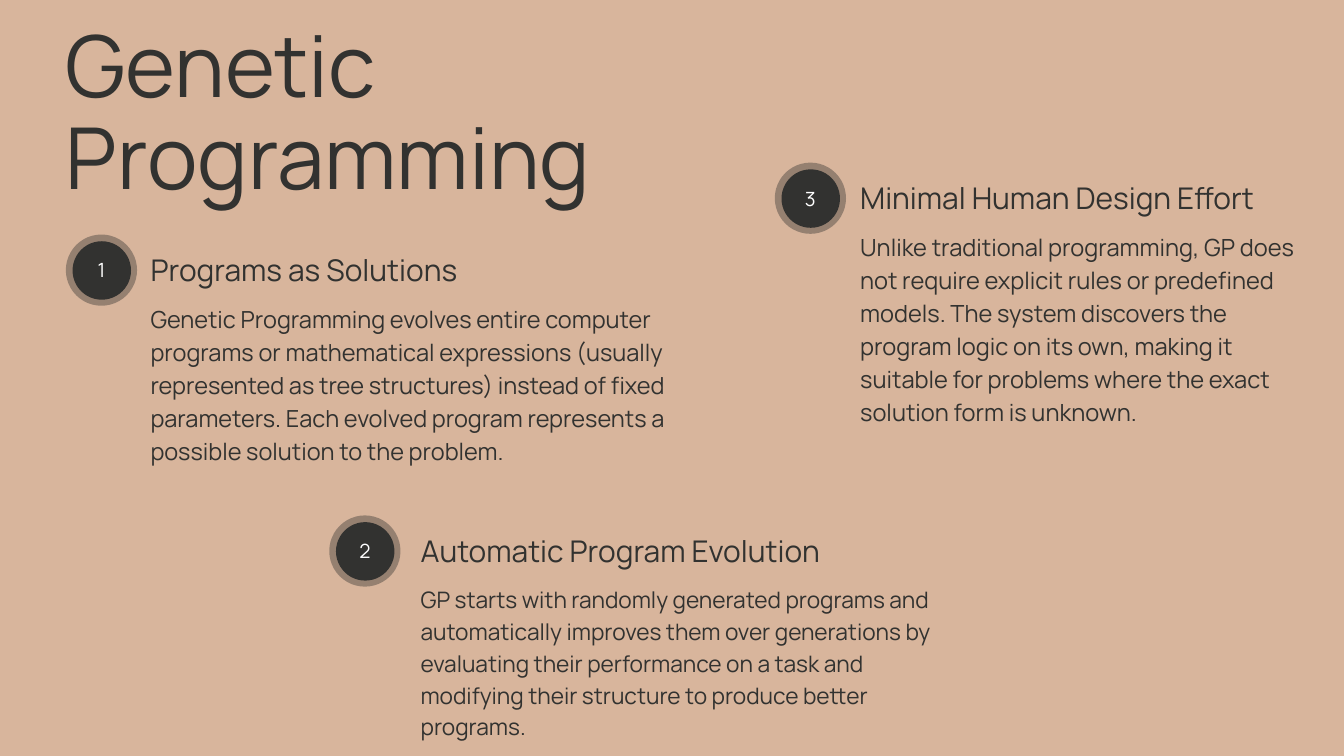
from lxml import etree
from pptx import Presentation
from pptx.dml.color import RGBColor
from pptx.enum.shapes import MSO_SHAPE
from pptx.enum.text import MSO_ANCHOR, PP_ALIGN
from pptx.oxml.ns import qn
from pptx.util import Inches, Pt

OVAL = MSO_SHAPE.OVAL
TOP, MIDDLE = MSO_ANCHOR.TOP, MSO_ANCHOR.MIDDLE
LEFT, CENTER = PP_ALIGN.LEFT, PP_ALIGN.CENTER
FONT = "Manrope"
COLORS = {"sand": "D8B59C", "ink": "323230", "white": "FFFFFF"}
ITEMS = [
    ("1", "Programs as Solutions",
     "Genetic Programming evolves entire computer programs or mathematical "
     "expressions (usually represented as tree structures) instead of fixed "
     "parameters. Each evolved program represents a possible solution to the problem.",
     (0.98, 3.49), 1.26, (5.06, 8.04), 2.94, 25.2, 35.3),
    ("2", "Automatic Program Evolution",
     "GP starts with randomly generated programs and automatically improves them "
     "over generations by evaluating their performance on a task and modifying "
     "their structure to produce better programs.",
     (4.9, 7.67), 1.36, (6.54, 8.04), 2.31, 24.3, 34.1),
    ("3", "Minimal Human Design Effort",
     "Unlike traditional programming, GP does not require explicit rules or "
     "predefined models. The system discovers the program logic on its own, making "
     "it suitable for problems where the exact solution form is unknown.",
     (11.53, 2.42), 1.27, (6.54, 6.54), 3.43, 25.3, 35.4),
]


def color(name):
    return RGBColor.from_string(COLORS[name])


def add_text(shapes, box, text, size, lead, tint="ink", align=LEFT, anchor=TOP):
    frame = shapes.add_textbox(*map(Inches, box)).text_frame
    frame.word_wrap = True
    frame.vertical_anchor = anchor
    frame.margin_left = frame.margin_right = Inches(0)
    frame.margin_top = frame.margin_bottom = Inches(0)
    para = frame.paragraphs[0]
    para.alignment = align
    para.line_spacing = Pt(lead)
    run = para.add_run()
    run.text = text
    run.font.name = FONT
    run.font.size = Pt(size)
    run.font.color.rgb = color(tint)


def add_disc(shapes, left, top, size, alpha=100):
    disc = shapes.add_shape(OVAL, *map(Inches, (left, top, size, size)))
    disc.shadow.inherit = False
    disc.line.fill.background()
    disc.fill.solid()
    disc.fill.fore_color.rgb = color("ink")
    if alpha < 100:
        tone = disc.fill._xPr.find(".//" + qn("a:srgbClr"))
        etree.SubElement(tone, qn("a:alpha")).set("val", str(alpha * 1000))


def add_badge(slide, left, top, number):
    shapes = slide.shapes.add_group_shape().shapes
    add_disc(shapes, left, top, 1.06, 40)
    add_disc(shapes, left + 0.1, top + 0.1, 0.87)
    add_text(shapes, (left + 0.18, top + 0.12, 0.7, 0.76), number,
             21, 29.4, "white", CENTER, MIDDLE)


def add_item(slide, number, head, body, spot, indent, widths, height, size, lead):
    left, top = spot
    add_badge(slide, left, top, number)
    add_text(slide.shapes, (left + indent, top + 0.17, widths[0], 0.62),
             head, 32, 44.8)
    add_text(slide.shapes, (left + indent, top + 0.98, widths[1], height),
             body, size, lead)


def main():
    deck = Presentation()
    deck.slide_width, deck.slide_height = Inches(20), Inches(11.25)
    slide = deck.slides.add_slide(deck.slide_layouts[6])
    slide.background.fill.solid()
    slide.background.fill.fore_color.rgb = color("sand")
    add_text(slide.shapes, (0.98, 0.33, 12.29, 4.22),
             "Genetic Programming", 91.4, 98.8)
    for item in ITEMS:
        add_item(slide, *item)
    deck.save("out.pptx")


if __name__ == "__main__":
    main()
